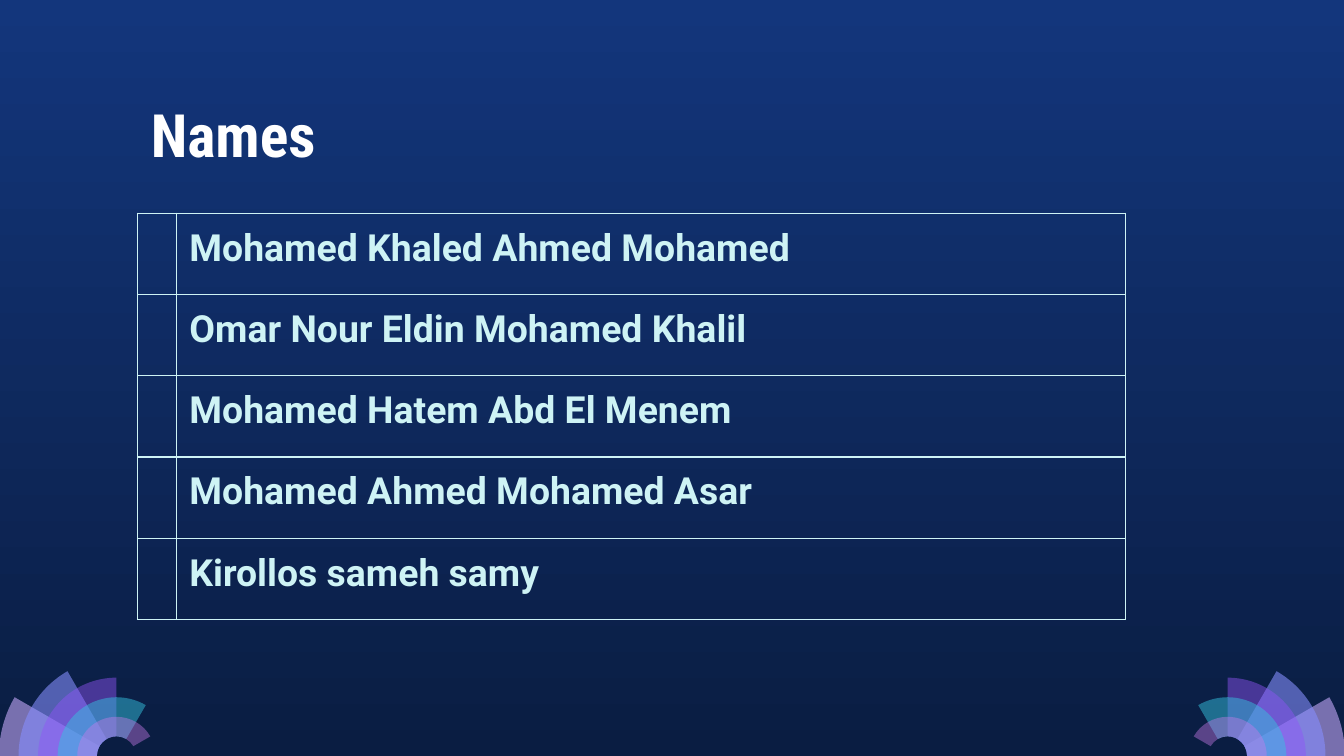
import math

from lxml import etree
from pptx import Presentation
from pptx import util as u
from pptx.dml.color import RGBColor
from pptx.enum import text
from pptx.oxml import ns

COLORS = {
    "top": "13367C",
    "bottom": "0A1D42",
    "title": "FFFFFF",
    "pale": "CEF3F5",
}
PETALS = [("C8ACFD", 58), ("878FFF", 58), ("9154F8", 46), ("35C2DF", 49), ("CA7BEB", 42)]
NAMES = [
    "Mohamed Khaled Ahmed Mohamed",
    "Omar Nour Eldin Mohamed Khalil",
    "Mohamed Hatem Abd El Menem",
    "Mohamed Ahmed Mohamed Asar",
    "Kirollos sameh samy",
]
WIDTH, HEIGHT = 25.4, 14.29
LEFT = u.Cm(2.6)
MARGIN = u.Cm(0.25)
RING = 0.37
FAN_CENTER = 2.2
UNITS_PER_CM = 1000


def paint_background(page):
    fill = page.background.fill
    fill.gradient()
    fill.gradient_angle = 270
    for stop, name in zip(fill.gradient_stops, ("top", "bottom")):
        stop.color.rgb = RGBColor.from_string(COLORS[name])


def style_text(para, font_name, size, color):
    for span in para.runs:
        span.font.name = font_name
        span.font.size = u.Pt(size)
        span.font.bold = True
        span.font.color.rgb = RGBColor.from_string(color)


def set_margins(holder):
    holder.margin_left = holder.margin_right = MARGIN
    holder.margin_top = holder.margin_bottom = MARGIN


def add_title(page, wording):
    title = page.shapes.title
    title.left, title.top = LEFT, u.Cm(1.6)
    title.width, title.height = u.Cm(21.41), u.Cm(1.6)
    frame = title.text_frame
    frame.text = wording
    frame.word_wrap = True
    frame.auto_size = text.MSO_AUTO_SIZE.NONE
    frame.vertical_anchor = text.MSO_ANCHOR.TOP
    set_margins(frame)
    para = frame.paragraphs[0]
    para.alignment = text.PP_ALIGN.LEFT
    style_text(para, "Roboto Condensed", 32, COLORS["title"])


def bend_edges(petal, corners, direction):
    edges = petal._element.findall(".//" + ns.qn("a:lnTo"))
    starts = [(0, 0)] * len(corners)
    points = petal._element.findall(".//" + ns.qn("a:pt"))
    starts = [(int(point.get("x")), int(point.get("y"))) for point in points]
    for index, edge in enumerate(edges):
        (radius, begin), (next_radius, end) = corners[index], corners[index + 1]
        if radius != next_radius:
            continue
        handle = 4 / 3 * math.tan(math.radians(end - begin) / 4) * radius * UNITS_PER_CM
        curve = etree.Element(ns.qn("a:cubicBezTo"))
        for (x, y), degrees, reach in (
            (starts[index], begin, handle),
            (starts[index + 1], end, -handle),
        ):
            angle = math.radians(degrees)
            control_x = round(x + direction * reach * math.sin(angle))
            control_y = round(y - reach * math.cos(angle))
            etree.SubElement(curve, ns.qn("a:pt"), x=str(control_x), y=str(control_y))
        curve.append(edge[0])
        edge.getparent().replace(edge, curve)


def add_petal(fan, center, direction, outer, sweep, color, opacity):
    def place(radius, degrees):
        angle = math.radians(degrees)
        x = center - direction * radius * math.cos(angle)
        y = HEIGHT - radius * math.sin(angle)
        return round(x * UNITS_PER_CM), round(y * UNITS_PER_CM)

    knots = sorted({0, min(sweep, 90), sweep})
    corners = [(outer, knot) for knot in knots]
    corners += [(RING, knot) for knot in reversed(knots)]
    outline = [place(*corner) for corner in corners]
    builder = fan.shapes.build_freeform(*outline[0], scale=u.Cm(1) / UNITS_PER_CM)
    builder.add_line_segments(outline[1:], close=True)
    petal = builder.convert_to_shape()
    bend_edges(petal, corners, direction)
    petal.shadow.inherit = False
    petal.line.fill.background()
    petal.fill.solid()
    petal.fill.fore_color.rgb = RGBColor.from_string(color)
    tint = petal.fill._xPr.find(".//" + ns.qn("a:srgbClr"))
    etree.SubElement(tint, ns.qn("a:alpha"), val=str(opacity * 1000))


def add_fan(page, center, direction):
    fan = page.shapes.add_group_shape()
    for index, (color, opacity) in enumerate(PETALS):
        outer = RING * (len(PETALS) + 1 - index)
        add_petal(fan, center, direction, outer, 30 * (index + 1), color, opacity)


def add_borders(cell, color, points):
    properties = cell._tc.get_or_add_tcPr()
    for side in ("lnL", "lnR", "lnT", "lnB"):
        line = etree.SubElement(properties, ns.qn("a:" + side), w=str(u.Pt(points)))
        solid = etree.SubElement(line, ns.qn("a:solidFill"))
        etree.SubElement(solid, ns.qn("a:srgbClr"), val=color)


def add_name_table(page, names):
    height = u.Cm(7.68)
    frame = page.shapes.add_table(len(names), 2, LEFT, u.Cm(4.03), u.Cm(18.67), height)
    table = frame.table
    table.first_row = table.horz_banding = False
    for column, width in zip(table.columns, (0.73, 17.94)):
        column.width = u.Cm(width)
    for row, name in zip(table.rows, names):
        row.height = height // len(names)
        label = row.cells[1]
        label.text = name
        para = label.text_frame.paragraphs[0]
        style_text(para, "Roboto", 20, COLORS["pale"])
        if name != names[-1]:
            para.space_after = u.Pt(16)
        for cell in row.cells:
            set_margins(cell)
            add_borders(cell, COLORS["pale"], 0.75)
            cell.fill.background()


def main():
    deck = Presentation()
    deck.slide_width, deck.slide_height = u.Cm(WIDTH), u.Cm(HEIGHT)
    page = deck.slides.add_slide(deck.slide_layouts.get_by_name("Title Only"))
    paint_background(page)
    add_fan(page, FAN_CENTER, 1)
    add_fan(page, WIDTH - FAN_CENTER, -1)
    add_title(page, "Names")
    add_name_table(page, NAMES)
    deck.save("out.pptx")


if __name__ == "__main__":
    main()
